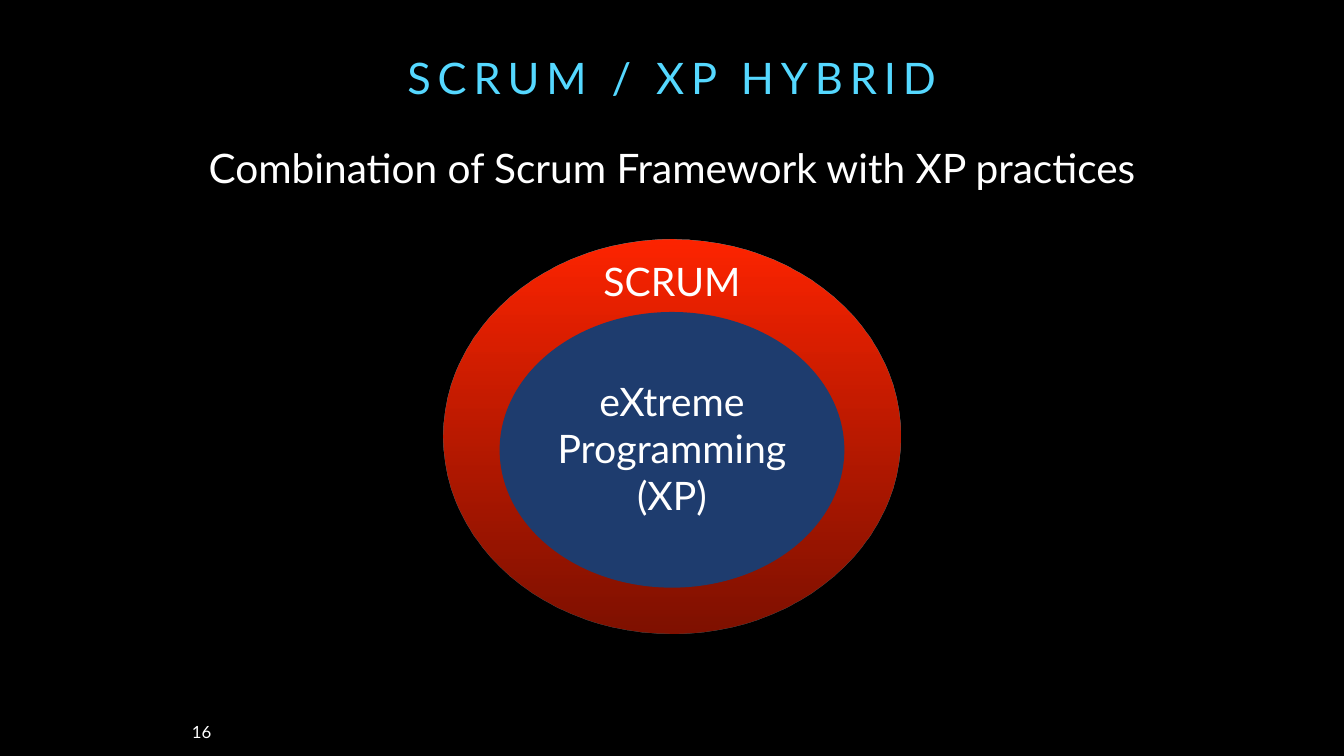
from dataclasses import dataclass

from lxml.etree import SubElement
from pptx import Presentation
from pptx.dml.color import RGBColor
from pptx.enum.shapes import MSO_SHAPE
from pptx.enum.text import MSO_ANCHOR, MSO_AUTO_SIZE, PP_ALIGN
from pptx.oxml.ns import qn
from pptx.util import Inches, Pt

WIDTH, HEIGHT = Inches(26.67), Inches(15)
FONT = "Lato"
BLACK = RGBColor(0x00, 0x00, 0x00)
WHITE = RGBColor(0xFF, 0xFF, 0xFF)
SKY = RGBColor(0x55, 0xD8, 0xFF)
RED = RGBColor(0xFF, 0x25, 0x00)
DARK_RED = RGBColor(0xD5, 0x1D, 0x00)
NAVY = RGBColor(0x1E, 0x3C, 0x6E)


@dataclass(frozen=True)
class Area:
    """Centre and extent as percentages of the slide's size."""
    center_x: float
    center_y: float
    width: float
    height: float

    def bounds(self) -> tuple[int, int, int, int]:
        return (
            int(WIDTH * (self.center_x - self.width / 2) / 100),
            int(HEIGHT * (self.center_y - self.height / 2) / 100),
            int(WIDTH * self.width / 100),
            int(HEIGHT * self.height / 100),
        )


@dataclass(frozen=True)
class Label:
    text: str
    area: Area
    size: int
    wrap: bool = False
    anchor: MSO_ANCHOR = MSO_ANCHOR.MIDDLE


TITLE = Label("SCRUM / XP HYBRID", Area(50, 13.57, 67.38, 14.6), 62, True, MSO_ANCHOR.TOP)
LABELS = (
    Label("SCRUM", Area(50, 37.17, 10.8, 8.07), 56),
    Label("eXtreme\nProgramming\n(XP)", Area(50, 59.27, 18.56, 22.13), 56),
    Label("Combination of Scrum Framework with XP practices",
          Area(50, 22.17, 74.58, 8.33), 58, True),
    Label("16", Area(15, 96.97, 1.95, 4.07), 24, anchor=MSO_ANCHOR.TOP),
)
SCRUM_RING = Area(50, 57.77, 34.01, 52.07)
XP_CORE = Area(50, 59.5, 25.65, 36.47)


def write_label(box, label: Label, color: RGBColor) -> None:
    box.left, box.top, box.width, box.height = label.area.bounds()
    frame = box.text_frame
    frame.text = label.text
    frame.word_wrap = label.wrap
    frame.auto_size = MSO_AUTO_SIZE.NONE
    frame.vertical_anchor = label.anchor
    frame.margin_left = frame.margin_right = Inches(0.08)
    frame.margin_top = frame.margin_bottom = Inches(0.08)
    for para in frame.paragraphs:
        para.alignment = PP_ALIGN.CENTER
        for span in para.runs:
            span.font.name = FONT
            span.font.size = Pt(label.size)
            span.font.color.rgb = color


def add_ellipse(page, area: Area):
    ellipse = page.shapes.add_shape(MSO_SHAPE.OVAL, *area.bounds())
    ellipse.shadow.inherit = False
    ellipse.line.fill.background()
    return ellipse


def fill_ring(ring) -> None:
    ring.fill.gradient()
    ring.fill.gradient_angle = 270
    for stop, color in zip(ring.fill.gradient_stops, (RED, DARK_RED)):
        stop.color.rgb = color
    last_color = ring.element.spPr.findall(".//" + qn("a:srgbClr"))[-1]
    SubElement(last_color, qn("a:alpha")).set("val", "60000")


def main() -> None:
    deck = Presentation()
    deck.slide_width, deck.slide_height = WIDTH, HEIGHT
    page = deck.slides.add_slide(deck.slide_layouts[5])
    page.background.fill.solid()
    page.background.fill.fore_color.rgb = BLACK

    title = page.shapes.title
    write_label(title, TITLE, SKY)
    title.text_frame.paragraphs[0].runs[0].font._element.set("spc", "990")

    fill_ring(add_ellipse(page, SCRUM_RING))
    core = add_ellipse(page, XP_CORE)
    core.fill.solid()
    core.fill.fore_color.rgb = NAVY

    for label in LABELS:
        write_label(page.shapes.add_textbox(*label.area.bounds()), label, WHITE)

    deck.save("out.pptx")


if __name__ == "__main__":
    main()
